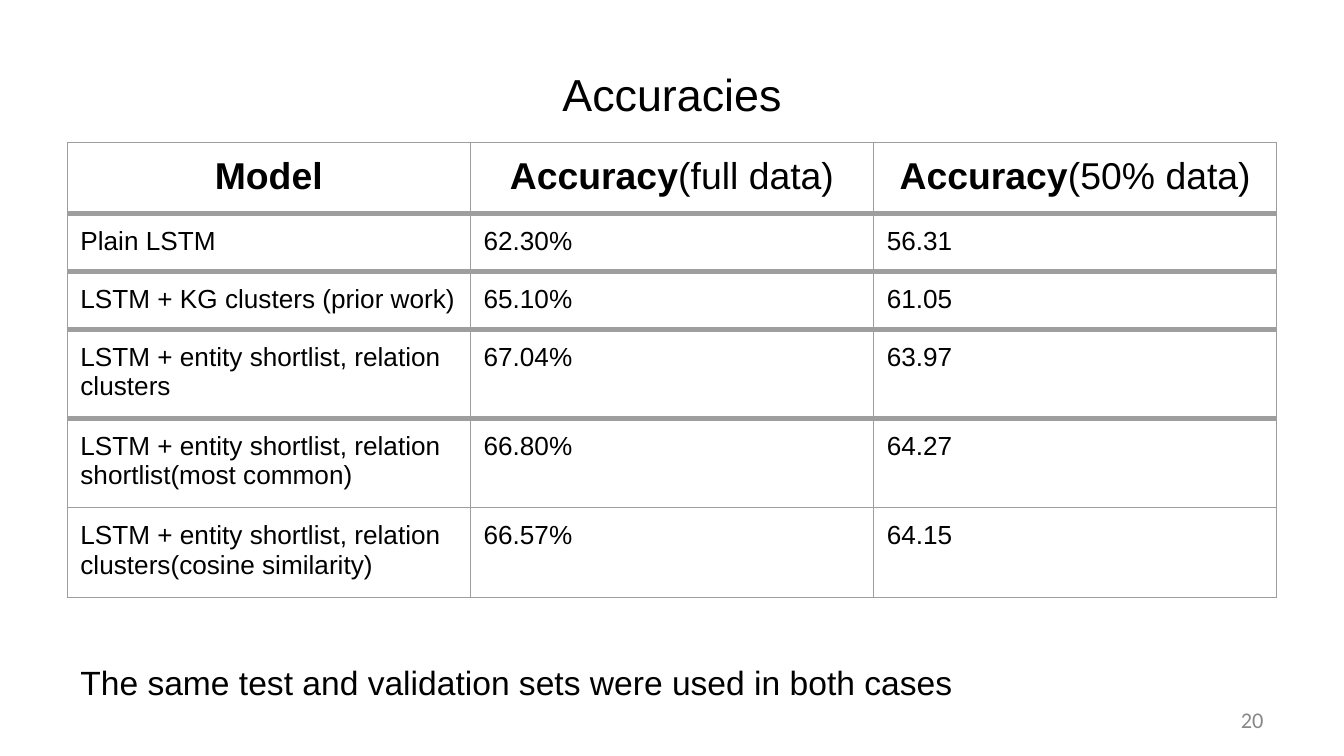
from lxml.etree import SubElement
from pptx import Presentation
from pptx.dml.color import RGBColor
from pptx.enum.text import MSO_ANCHOR as Anchor, PP_ALIGN as Align
from pptx.oxml.ns import qn
from pptx.util import Cm, Pt

BLACK, GREY, RULE = "000000", "888888", "9E9E9E"
THIN, THICK = 0.75, 3
INSET = 0.25


def color(value):
    """Turn a hex string into a colour."""
    return RGBColor.from_string(value)


def write(frame, runs, size=14, font="Arial", fill=BLACK, align=Align.LEFT, before=0):
    """Fill a text frame with one paragraph of (text, bold) runs."""
    paragraph = frame.paragraphs[0]
    paragraph.alignment = align
    paragraph.space_before = Pt(before)
    for text, bold in runs:
        run = paragraph.add_run()
        run.text = text
        run.font.size = Pt(size)
        run.font.name = font
        run.font.bold = bold
        run.font.color.rgb = color(fill)


def set_margins(target, side=INSET, upright=INSET):
    """Set the inner margins of a text frame or a cell."""
    target.margin_left = target.margin_right = Cm(side)
    target.margin_top = target.margin_bottom = Cm(upright)


def set_borders(cell, top, bottom):
    """Draw the four borders of a cell."""
    properties = cell._tc.get_or_add_tcPr()
    widths = {"a:lnL": THIN, "a:lnR": THIN, "a:lnT": top, "a:lnB": bottom}
    for position, (tag, width) in enumerate(widths.items()):
        line = SubElement(properties, qn(tag), w=str(Pt(width)))
        fill = SubElement(line, qn("a:solidFill"))
        SubElement(fill, qn("a:srgbClr"), val=RULE)
        properties.insert(position, line)


class SlideBuilder:
    """Hold the current slide and add styled elements to it."""

    def __init__(self, slide):
        self.slide = slide

    def text(self, text, left, top, width, height, anchor=Anchor.TOP, upright=INSET, **style):
        """Add a text box."""
        shape = self.slide.shapes.add_textbox(Cm(left), Cm(top), Cm(width), Cm(height))
        frame = shape.text_frame
        frame.word_wrap = True
        frame.vertical_anchor = anchor
        set_margins(frame, upright=upright)
        write(frame, [(text, False)], **style)

    def table(self, header, rows, left, top, column_width, heights, thick_rules):
        """Add a table with a header of mixed runs and plain rows."""
        content = [header] + [[[(text, False)] for text in row] for row in rows]
        shape = self.slide.shapes.add_table(
            len(content), len(header), Cm(left), Cm(top),
            Cm(column_width * len(header)), Cm(sum(heights)))
        table = shape.table
        table.first_row = table.horz_banding = False
        for column in table.columns:
            column.width = Cm(column_width)
        for index, (cells, height) in enumerate(zip(content, heights)):
            table.rows[index].height = Cm(height)
            style = {"size": 20, "align": Align.CENTER} if index == 0 else {}
            above = THICK if 0 < index <= thick_rules else THIN
            below = THICK if index < thick_rules else THIN
            for position, runs in enumerate(cells):
                cell = table.cell(index, position)
                cell.fill.background()
                set_margins(cell)
                write(cell.text_frame, runs, **style)
                set_borders(cell, above, below)


HEADER = [
    [("Model", True)],
    [("Accuracy", True), ("(full data)", False)],
    [("Accuracy", True), ("(50% data)", False)],
]
RESULTS = [
    ("Plain LSTM", "62.30%", "56.31"),
    ("LSTM + KG clusters (prior work)", "65.10%", "61.05"),
    ("LSTM + entity shortlist, relation clusters", "67.04%", "63.97"),
    ("LSTM + entity shortlist, relation shortlist(most common)", "66.80%", "64.27"),
    ("LSTM + entity shortlist, relation clusters(cosine similarity)", "66.57%", "64.15"),
]
HEIGHTS = [1.29] + [1.08] * 2 + [1.61] * 3

presentation = Presentation()
presentation.slide_width, presentation.slide_height = Cm(25.4), Cm(14.29)
builder = SlideBuilder(presentation.slides.add_slide(presentation.slide_layouts[6]))
builder.text("Accuracies", 1.27, 0.58, 22.86, 2.39, anchor=Anchor.MIDDLE,
             size=24, align=Align.CENTER)
builder.text("The same test and validation sets were used in both cases",
             1.27, 12.27, 22.86, 1.6, size=18, before=6.4)
builder.table(HEADER, RESULTS, 1.27, 2.69, 7.62, HEIGHTS, thick_rules=4)
builder.text("20", 18.21, 13.23, 5.92, 0.76, anchor=Anchor.MIDDLE, upright=0.13,
             size=12, font="Calibri", fill=GREY, align=Align.RIGHT)
presentation.save("out.pptx")
